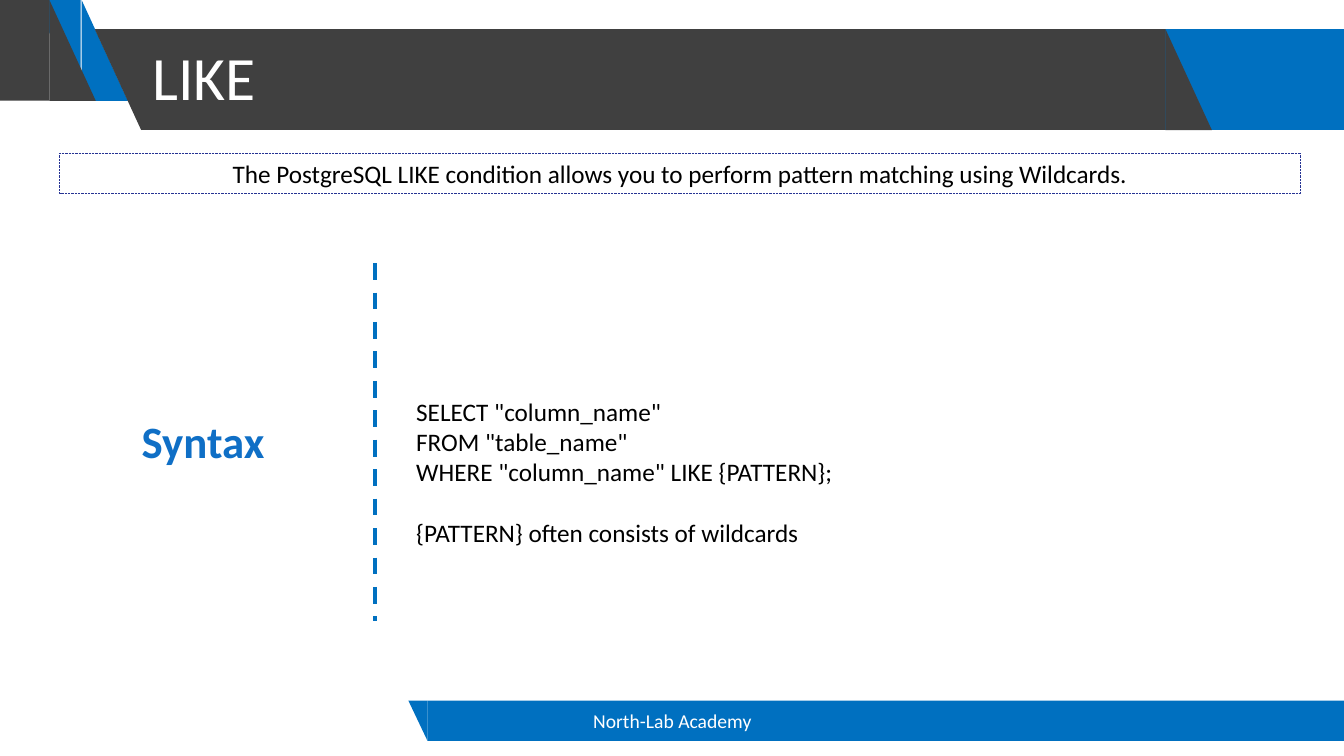
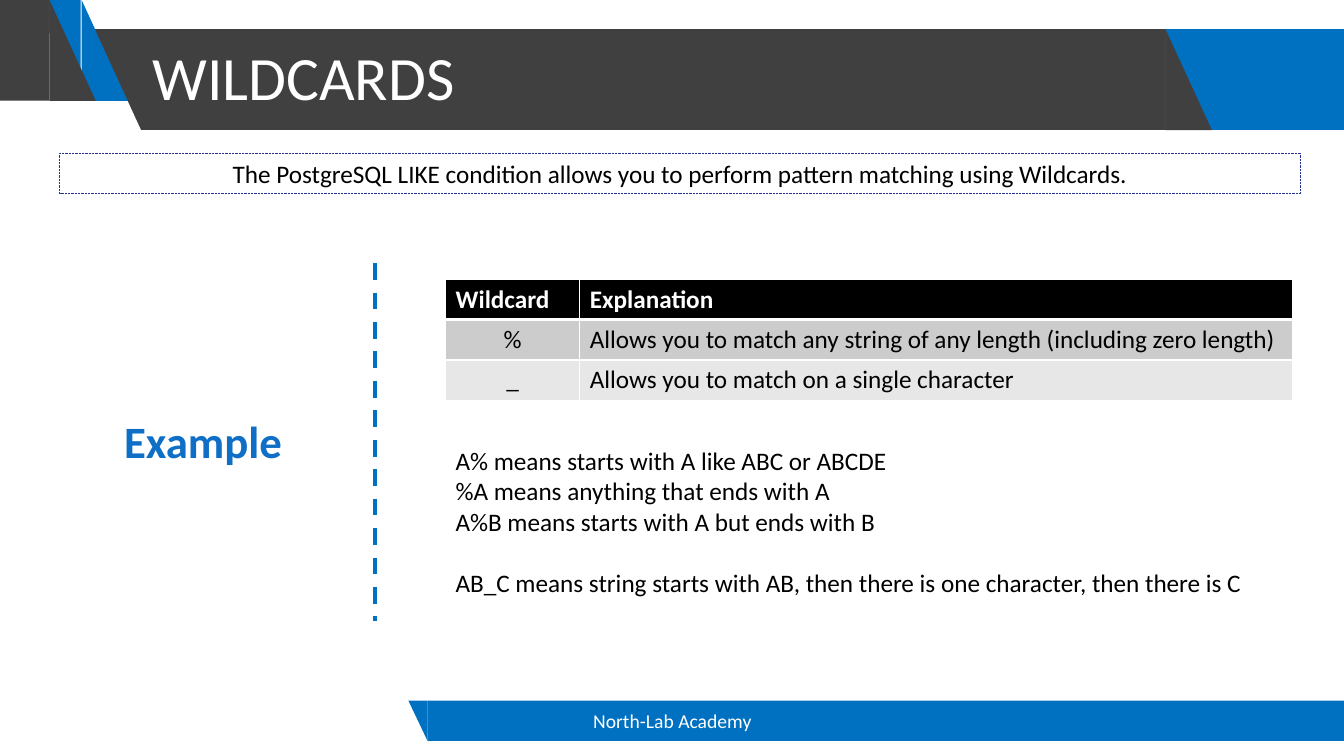
from lxml import etree
from pptx import Presentation
from pptx.dml.color import RGBColor
from pptx.enum.dml import MSO_LINE
from pptx.enum.shapes import MSO_CONNECTOR, MSO_SHAPE
from pptx.enum.text import MSO_ANCHOR, PP_ALIGN
from pptx.oxml.ns import qn
from pptx.util import Pt

PX = 9144  # EMU, 100 px to the inch
SLIDE_SIZE = (1333, 750)
TITLE_ONLY = 5

BLUE = RGBColor(0x00, 0x70, 0xC0)
LABEL_BLUE = RGBColor(0x0F, 0x6F, 0xC6)
NAVY = RGBColor(0x26, 0x33, 0x93)
CHARCOAL = RGBColor(0x40, 0x40, 0x40)
BLACK = RGBColor(0x00, 0x00, 0x00)
WHITE = RGBColor(0xFF, 0xFF, 0xFF)
ROW_FILLS = (BLACK, RGBColor(0xCC, 0xCC, 0xCC), RGBColor(0xE7, 0xE7, 0xE7))

FONT = "Calibri"
LEFT, CENTER = PP_ALIGN.LEFT, PP_ALIGN.CENTER
TOP, MIDDLE = MSO_ANCHOR.TOP, MSO_ANCHOR.MIDDLE
RECTANGLE, TRIANGLE = MSO_SHAPE.RECTANGLE, MSO_SHAPE.RIGHT_TRIANGLE
STRAIGHT = MSO_CONNECTOR.STRAIGHT
DASH, DOT = MSO_LINE.DASH, MSO_LINE.ROUND_DOT

TITLE_BOX = (141, 7, 1014, 145)
STATEMENT_BOX = (59, 152, 1231, 40)
TOPIC_BOX = (31, 261, 341, 355)
FOOTER_BOX = (405, 695, 931, 40)
STATEMENT = "The PostgreSQL LIKE condition allows you to perform pattern matching using Wildcards."
ACADEMY = "North-Lab Academy"


def emu(*lengths):
    return [length * PX for length in lengths]


def write(frame, text, size=18, color=BLACK, bold=False, align=LEFT, anchor=TOP,
          line_spacing=None):
    """Fill a text frame, one paragraph a line; an empty line becomes space before the next."""
    frame.word_wrap = True
    frame.vertical_anchor = anchor
    gap = 0
    paragraph = None
    for line in text.split("\n"):
        if not line:
            gap = 22
            continue
        paragraph = frame.add_paragraph() if paragraph else frame.paragraphs[0]
        paragraph.alignment = align
        if line_spacing:
            paragraph.line_spacing = line_spacing
        if gap:
            paragraph.space_before = Pt(gap)
            gap = 0
        run = paragraph.add_run()
        run.text = line
        run.font.name, run.font.size, run.font.bold = FONT, Pt(size), bold
        run.font.color.rgb = color


def add_text(slide, box, text, **style):
    write(slide.shapes.add_textbox(*emu(*box)).text_frame, text, **style)


def add_block(shapes, kind, box, color, rotation=0):
    block = shapes.add_shape(kind, *emu(*box))
    block.shadow.inherit = False
    block.fill.solid()
    block.fill.fore_color.rgb = color
    block.line.fill.background()
    block.rotation = rotation


def draw_header_band(shapes):
    height, slant, drop = 100, 46, 29
    for kind, left, top, width, color, rotation in (
        (RECTANGLE, 1068, drop, 267, BLUE, 0),
        (TRIANGLE, 81, 0, slant, BLUE, 0),
        (TRIANGLE, 34, 0, slant, BLUE, 180),
        (RECTANGLE, 0, 0, 49, CHARCOAL, 0),
        (TRIANGLE, 49, 0, slant, CHARCOAL, 0),
        (TRIANGLE, 94, drop, slant, CHARCOAL, 180),
        (RECTANGLE, 140, drop, 1016, CHARCOAL, 0),
        (TRIANGLE, 1156, drop, slant, CHARCOAL, 0),
    ):
        add_block(shapes, kind, (left, top, width, height), color, rotation)


def draw_footer_band(shapes):
    left, top, width, height = FOOTER_BOX
    slant = 19
    add_block(shapes, RECTANGLE, (left + slant, top, width - slant, height), BLUE)
    add_block(shapes, TRIANGLE, (left, top, slant, height), BLUE, 180)


def move_bands_to_layout(slide):
    """Draw the bands on a slide, then hand them to its layout so that all slides share them."""
    tree = slide.slide_layout.element.cSld.spTree
    next_id = 100
    for position, draw in enumerate((draw_header_band, draw_footer_band)):
        group = slide.shapes.add_group_shape()
        draw(group.shapes)
        for properties in group.element.xpath(".//p:cNvPr"):
            properties.set("id", str(next_id))
            next_id += 1
        tree.insert(2 + position, group.element)


def add_title(slide, text):
    title = slide.shapes.title
    title.left, title.top, title.width, title.height = emu(*TITLE_BOX)
    write(title.text_frame, text, size=44, color=WHITE, anchor=MIDDLE, line_spacing=0.9)


def add_statement(slide, box):
    frame = slide.shapes.add_shape(RECTANGLE, *emu(*box))
    frame.shadow.inherit = False
    frame.fill.background()
    frame.line.color.rgb = NAVY
    frame.line.width = Pt(0.5)
    frame.line.dash_style = DOT
    write(frame.text_frame, STATEMENT, align=CENTER)


def add_topic(slide, box, label):
    """Label on the left of a dashed divider that runs down the right edge of the box."""
    left, top, width, height = box
    right = left + width
    divider = slide.shapes.add_connector(STRAIGHT, *emu(right, top, right, top + height))
    divider.line.color.rgb = BLUE
    divider.line.width = Pt(3)
    divider.line.dash_style = DASH
    etree.SubElement(divider.element.spPr, qn("a:effectLst"))
    add_text(slide, (left, top + 145, width, 64), label,
             size=32, color=LABEL_BLUE, bold=True, align=CENTER)


def set_borders(cell, bottom):
    properties = cell._tc.get_or_add_tcPr()
    for side, width in (("L", 1), ("R", 1), ("T", 1), ("B", bottom)):
        line = etree.SubElement(properties, qn(f"a:ln{side}"), w=str(Pt(width)))
        fill = etree.SubElement(line, qn("a:solidFill"))
        etree.SubElement(fill, qn("a:srgbClr"), val=str(WHITE))


def add_wildcard_table(slide, box, rows):
    table = slide.shapes.add_table(len(rows), 2, *emu(*box)).table
    key_width = 133
    for column, width in zip(table.columns, emu(key_width, box[2] - key_width)):
        column.width = width
    for row_index, (row, fill) in enumerate(zip(rows, ROW_FILLS)):
        header = row_index == 0
        for column_index, text in enumerate(row):
            cell = table.cell(row_index, column_index)
            set_borders(cell, bottom=3 if header else 1)
            cell.fill.solid()
            cell.fill.fore_color.rgb = fill
            centered = column_index == 0 and not header
            write(cell.text_frame, text, color=WHITE if header else BLACK,
                  bold=header, align=CENTER if centered else LEFT)
            cell.vertical_anchor = MIDDLE


def add_topic_slide(presentation, title, label):
    slide = presentation.slides.add_slide(presentation.slide_layouts[TITLE_ONLY])
    add_title(slide, title)
    add_text(slide, (442, FOOTER_BOX[1], 450, FOOTER_BOX[3]), ACADEMY,
             size=14, color=WHITE, align=CENTER, anchor=MIDDLE)
    add_statement(slide, STATEMENT_BOX)
    add_topic(slide, TOPIC_BOX, label)
    return slide


def main():
    presentation = Presentation()
    presentation.slide_width, presentation.slide_height = emu(*SLIDE_SIZE)

    like = add_topic_slide(presentation, "LIKE", "Syntax")
    move_bands_to_layout(like)
    add_text(like, (403, 388, 826, 162),
             'SELECT "column_name"\n'
             'FROM "table_name"\n'
             'WHERE "column_name" LIKE {PATTERN};\n'
             '\n'
             '{PATTERN} often consists of wildcards')

    wildcards = add_topic_slide(presentation, "WILDCARDS", "Example")
    add_text(wildcards, (442, 437, 826, 162),
             "A% means starts with A like ABC or ABCDE\n"
             "%A means anything that ends with A\n"
             "A%B means starts with A but ends with B\n"
             "\n"
             "AB_C means string starts with AB, then there is one character, then there is C")
    add_wildcard_table(wildcards, (442, 277, 840, 120), (
        ("Wildcard", "Explanation"),
        ("%", "Allows you to match any string of any length (including zero length)"),
        ("_", "Allows you to match on a single character"),
    ))

    presentation.save("out.pptx")


if __name__ == "__main__":
    main()
